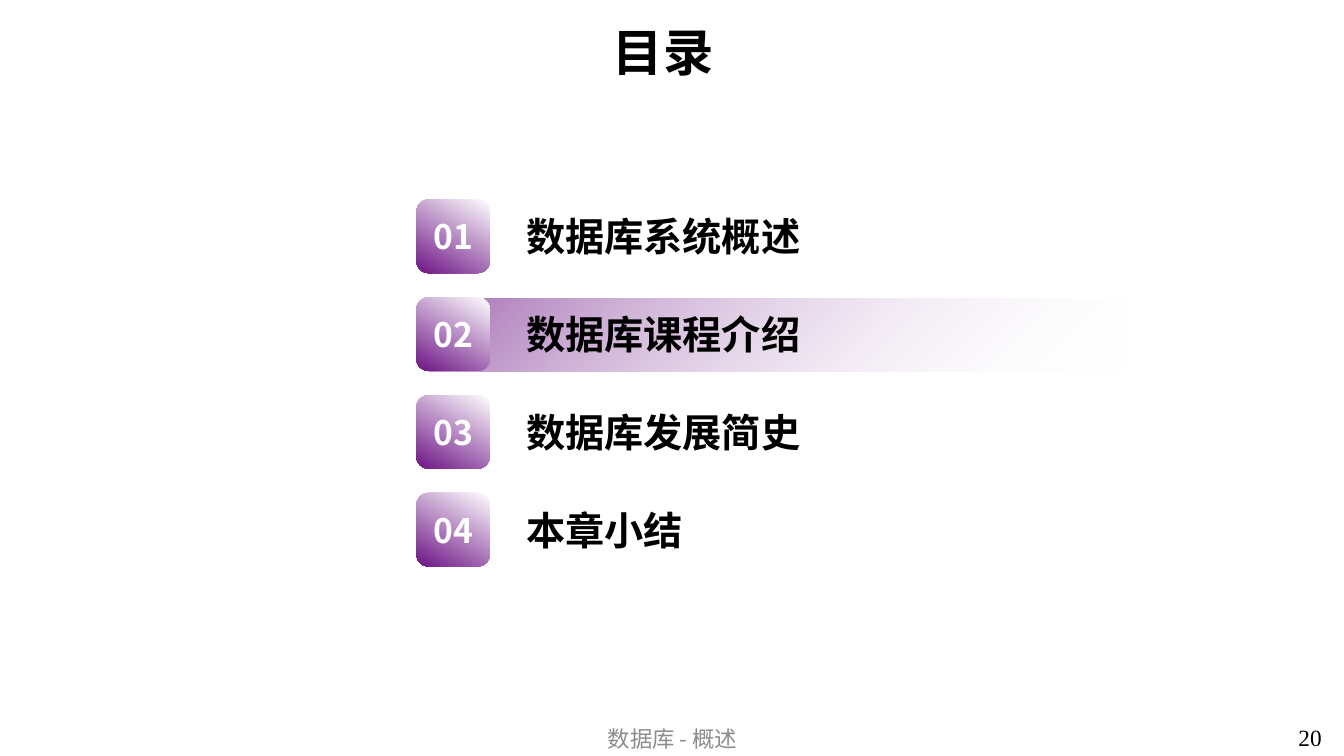
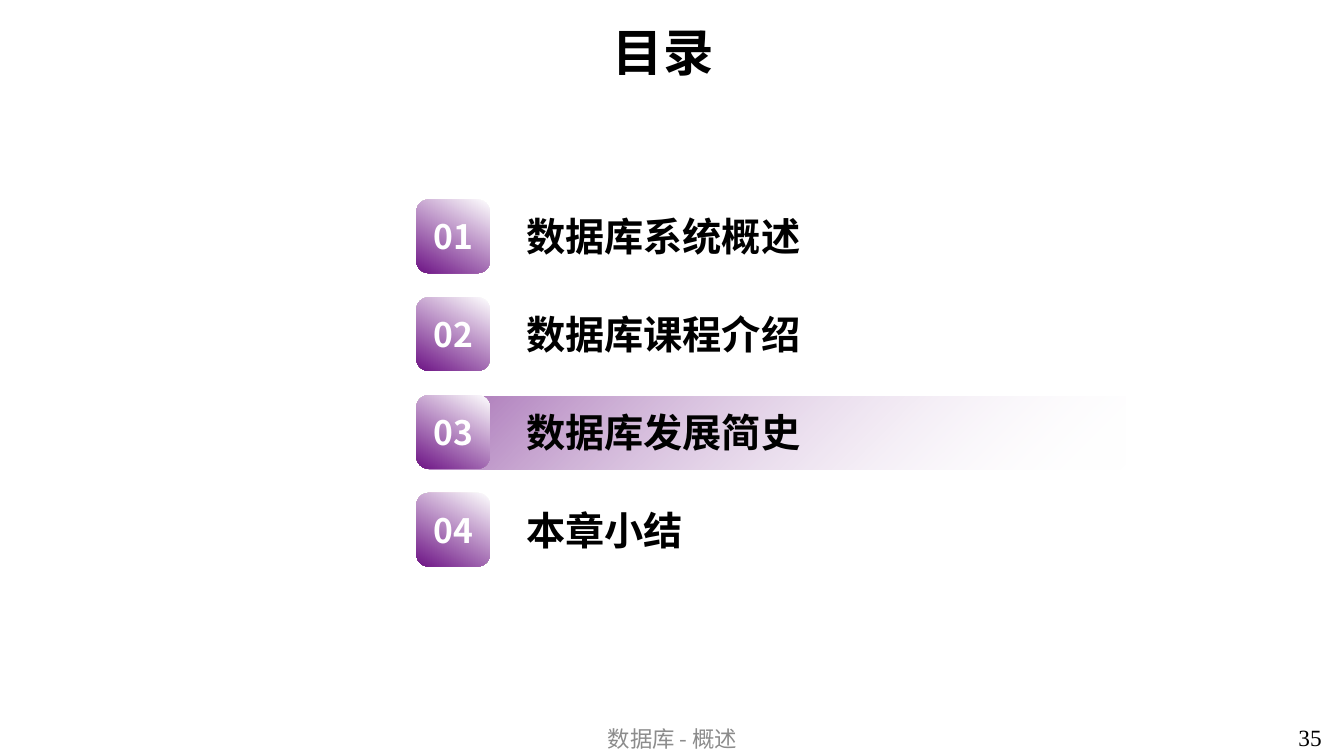
from dataclasses import dataclass

from lxml.etree import SubElement
from pptx import Presentation
from pptx.dml.color import RGBColor
from pptx.enum.shapes import MSO_SHAPE
from pptx.enum.text import MSO_ANCHOR, PP_ALIGN
from pptx.oxml.ns import qn
from pptx.util import Inches, Pt


@dataclass(frozen=True)
class Theme:
    purple: str = "6F1787"
    white: str = "FFFFFF"
    black: str = "000000"
    gray: str = "8C8C8C"
    sans: str = "Noto Sans CJK SC"
    serif: str = "Times New Roman"
    title_size: float = 36
    label_size: float = 28
    badge_size: float = 24
    number_size: float = 16.6
    footer_size: float = 16


TOPICS = ["数据库系统概述", "数据库课程介绍", "数据库发展简史", "本章小结"]
AGENDA_SLIDES = [(1, "20"), (2, "35")]
ROW_TOP, ROW_PITCH, ROW_HEIGHT = 1.98, 0.97, 0.73
BADGE_LEFT, LABEL_LEFT = 4.13, 5.12


class AgendaDeck:
    def __init__(self, theme):
        self.theme = theme
        self.presentation = Presentation()
        self.presentation.slide_width = Inches(13.33)
        self.presentation.slide_height = Inches(7.5)
        self.slide = None

    def fill_text(self, shape, text, size, color, bold=False, name=None,
                  align=PP_ALIGN.LEFT, anchor=MSO_ANCHOR.MIDDLE, wrap=True):
        frame = shape.text_frame
        frame.word_wrap = wrap
        frame.vertical_anchor = anchor
        paragraph = frame.paragraphs[0]
        paragraph.alignment = align
        run = paragraph.add_run()
        run.text = text
        name = name or self.theme.sans
        for key, value in {"name": name, "size": Pt(size), "bold": bold}.items():
            setattr(run.font, key, value)
        run.font.color.rgb = RGBColor.from_string(color)
        properties = run.font._element
        SubElement(properties, qn("a:ea")).set("typeface", name)

    def text(self, shapes, box, text, size, color, **formats):
        shape = shapes.add_textbox(*map(Inches, box))
        self.fill_text(shape, text, size, color, **formats)

    def gradient(self, shape, stops, angle):
        shape.shadow.inherit = False
        shape.line.fill.background()
        shape.fill.gradient()
        shape.fill.gradient_angle = angle
        for stop, (position, color, _) in zip(shape.fill.gradient_stops, stops):
            stop.position = position
            stop.color.rgb = RGBColor.from_string(color)
        colors = shape.element.spPr.findall(".//" + qn("a:gs") + "/" + qn("a:srgbClr"))
        for element, (_, _, opacity) in zip(colors, stops):
            if opacity < 100:
                SubElement(element, qn("a:alpha")).set("val", str(opacity * 1000))

    def highlight(self, row):
        top = ROW_TOP + row * ROW_PITCH + 0.01
        bottom = top + ROW_HEIGHT
        corners = [(4.25, bottom), (4.57, top), (11.16, top), (11.16, bottom)]
        points = [(Inches(x), Inches(y)) for x, y in corners]
        builder = self.slide.shapes.build_freeform(*points[0])
        builder.add_line_segments(points[1:], close=True)
        self.gradient(builder.convert_to_shape(),
                      [(0, self.theme.purple, 62), (1, self.theme.white, 0)], 315)

    def frame(self, page):
        theme, shapes = self.theme, self.slide.shapes
        self.text(shapes, (1.06, 0.14, 11.04, 0.74), "目录", theme.title_size,
                  theme.black, bold=True, align=PP_ALIGN.CENTER)
        self.text(shapes, (4.42, 7.16, 4.5, 0.34), "数据库 - 概述", theme.footer_size,
                  theme.gray, align=PP_ALIGN.CENTER)
        self.text(shapes, (12.78, 7.13, 0.55, 0.37), page, theme.number_size,
                  theme.black, name=theme.serif, anchor=MSO_ANCHOR.TOP, wrap=False)

    def topic(self, row, label):
        theme = self.theme
        top = ROW_TOP + row * ROW_PITCH
        shapes = self.slide.shapes.add_group_shape().shapes
        badge = shapes.add_shape(
            MSO_SHAPE.ROUNDED_RECTANGLE,
            *map(Inches, (BADGE_LEFT, top, ROW_HEIGHT, ROW_HEIGHT)))
        self.gradient(badge, [(0, theme.white, 100), (0.99, theme.purple, 100)], 240)
        self.fill_text(badge, f"{row + 1:02d}", theme.badge_size, theme.white,
                       bold=True, align=PP_ALIGN.CENTER)
        self.text(shapes, (LABEL_LEFT, top + 0.08, 4.08, 0.57), label,
                  theme.label_size, theme.black, bold=True, anchor=MSO_ANCHOR.TOP)

    def agenda(self, current, page):
        blank = self.presentation.slide_layouts[6]
        self.slide = self.presentation.slides.add_slide(blank)
        self.highlight(current)
        self.frame(page)
        for row, label in enumerate(TOPICS):
            self.topic(row, label)


def main():
    deck = AgendaDeck(Theme())
    for current, page in AGENDA_SLIDES:
        deck.agenda(current, page)
    deck.presentation.save("out.pptx")


if __name__ == "__main__":
    main()
